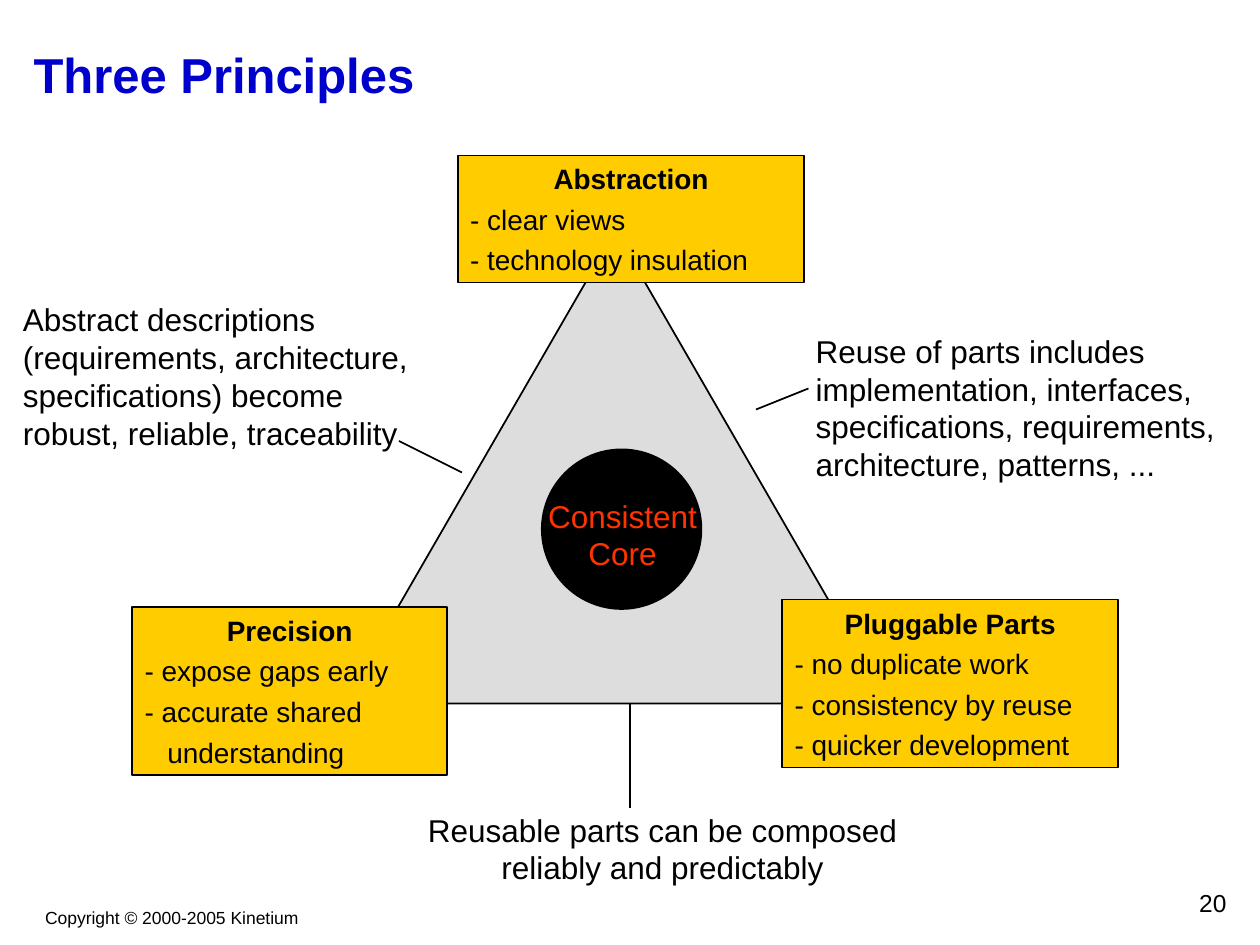
from lxml import etree
from pptx import Presentation
from pptx.dml.color import RGBColor
from pptx.enum import shapes, text
from pptx.oxml.ns import qn
from pptx.util import Inches, Pt

THEME = {
    "font": "Arial",
    "ink": "000000", "title": "0000CC", "card": "FFCC00",
    "triangle": "DDDDDD", "accent": "FF3300",
    "title_size": 28, "note_size": 18, "card_size": 16,
    "number_size": 14, "footer_size": 10, "line": 1,
}
LEFT, CENTER, RIGHT = text.PP_ALIGN.LEFT, text.PP_ALIGN.CENTER, text.PP_ALIGN.RIGHT
TOP, MIDDLE, BOTTOM = text.MSO_ANCHOR.TOP, text.MSO_ANCHOR.MIDDLE, text.MSO_ANCHOR.BOTTOM

deck = Presentation()
deck.slide_width, deck.slide_height = Inches(10), Inches(7.5)
page = deck.slides.add_slide(deck.slide_layouts[5])

# Grid of 120 columns by 90 rows
COLUMN, ROW = deck.slide_width / 120, deck.slide_height / 90


def grid(left, top, width, height):
    return int(left * COLUMN), int(top * ROW), int(width * COLUMN), int(height * ROW)


def write(box, lines, size, color=THEME["ink"], align=LEFT, anchor=MIDDLE,
          heading=False, gap=0, wrap=False):
    """Fill a box with one paragraph a line; a tab at the start indents the line."""
    frame = box.text_frame
    frame.word_wrap = wrap
    frame.auto_size = text.MSO_AUTO_SIZE.NONE
    frame.vertical_anchor = anchor
    for index, line in enumerate(lines):
        para = frame.add_paragraph() if index else frame.paragraphs[0]
        is_heading = heading and index == 0
        if line.startswith("\t"):
            para._p.get_or_add_pPr().set("marL", str(Inches(0.18)))
        para.alignment = CENTER if is_heading else align
        para.space_before = Pt(gap if index else 0)
        span = para.add_run()
        span.text = line.strip()
        span.font.name = THEME["font"]
        span.font.size = Pt(size)
        span.font.bold = is_heading
        span.font.color.rgb = RGBColor.from_string(color)


# Title
title = page.shapes.title
title.left, title.top, title.width, title.height = grid(2, 2, 116, 10)
write(title, ["Three Principles"], THEME["title_size"], THEME["title"],
      heading=True, wrap=True)
title.text_frame.paragraphs[0].alignment = LEFT

# Triangle, principle cards and core, from back to front
kinds = shapes.MSO_SHAPE
figures = [
    (kinds.ISOSCELES_TRIANGLE, (32.6, 22, 52, 45), "triangle", []),
    (kinds.RECTANGLE, (43.6, 14.8, 33, 12.1), "card",
     ["Abstraction", "- clear views", "- technology insulation"]),
    (kinds.RECTANGLE, (12.6, 57.8, 30, 16), "card",
     ["Precision", "- expose gaps early", "- accurate shared", "\tunderstanding"]),
    (kinds.RECTANGLE, (74.5, 57.1, 32, 16), "card",
     ["Pluggable Parts", "- no duplicate work", "- consistency by reuse",
      "- quicker development"]),
    (kinds.OVAL, (51.6, 42.8, 15.2, 15.2), "ink", []),
]
for kind, area, fill, lines in figures:
    figure = page.shapes.add_shape(kind, *grid(*area))
    figure.shadow.inherit = False
    figure.fill.solid()
    figure.fill.fore_color.rgb = RGBColor.from_string(THEME[fill])
    figure.line.color.rgb = RGBColor.from_string(THEME["ink"])
    figure.line.width = Pt(THEME["line"])
    if lines:
        write(figure, lines, THEME["card_size"], anchor=BOTTOM,
              heading=True, gap=4, wrap=True)

# Notes, core label, footer and page number
note = {"size": THEME["note_size"]}
labels = [
    ((1, 28, 39, 15.6),
     ["Abstract descriptions", "(requirements, architecture,",
      "specifications) become", "robust, reliable, traceability"], note),
    ((76.5, 31, 40.4, 15.6),
     ["Reuse of parts includes", "implementation, interfaces,",
      "specifications, requirements,", "architecture, patterns, ..."], note),
    ((39.6, 76.6, 47, 8.4),
     ["Reusable parts can be composed", "reliably and predictably"],
     {**note, "align": CENTER}),
    ((51, 46.7, 16.6, 8.4), ["Consistent", "Core"],
     {**note, "align": CENTER, "color": THEME["accent"]}),
    ((3.1, 85.8, 26.5, 3.2), ["Copyright © 2000-2005 Kinetium"],
     {"size": THEME["footer_size"], "align": CENTER, "anchor": TOP}),
    ((93, 84, 25, 4), ["20"],
     {"size": THEME["number_size"], "align": RIGHT, "anchor": TOP, "wrap": True}),
]
for area, lines, style in labels:
    write(page.shapes.add_textbox(*grid(*area)), lines, **style)

# Lines from the notes to the sides of the triangle
for x1, y1, x2, y2 in [(38, 42, 44, 45), (72, 39, 77, 37), (60, 67, 60, 77)]:
    pointer = page.shapes.add_connector(
        shapes.MSO_CONNECTOR.STRAIGHT, *grid(x1, y1, x2, y2))
    pointer.line.color.rgb = RGBColor.from_string(THEME["ink"])
    pointer.line.width = Pt(THEME["line"])
    etree.SubElement(pointer._element.spPr, qn("a:effectLst"))

deck.save("out.pptx")
